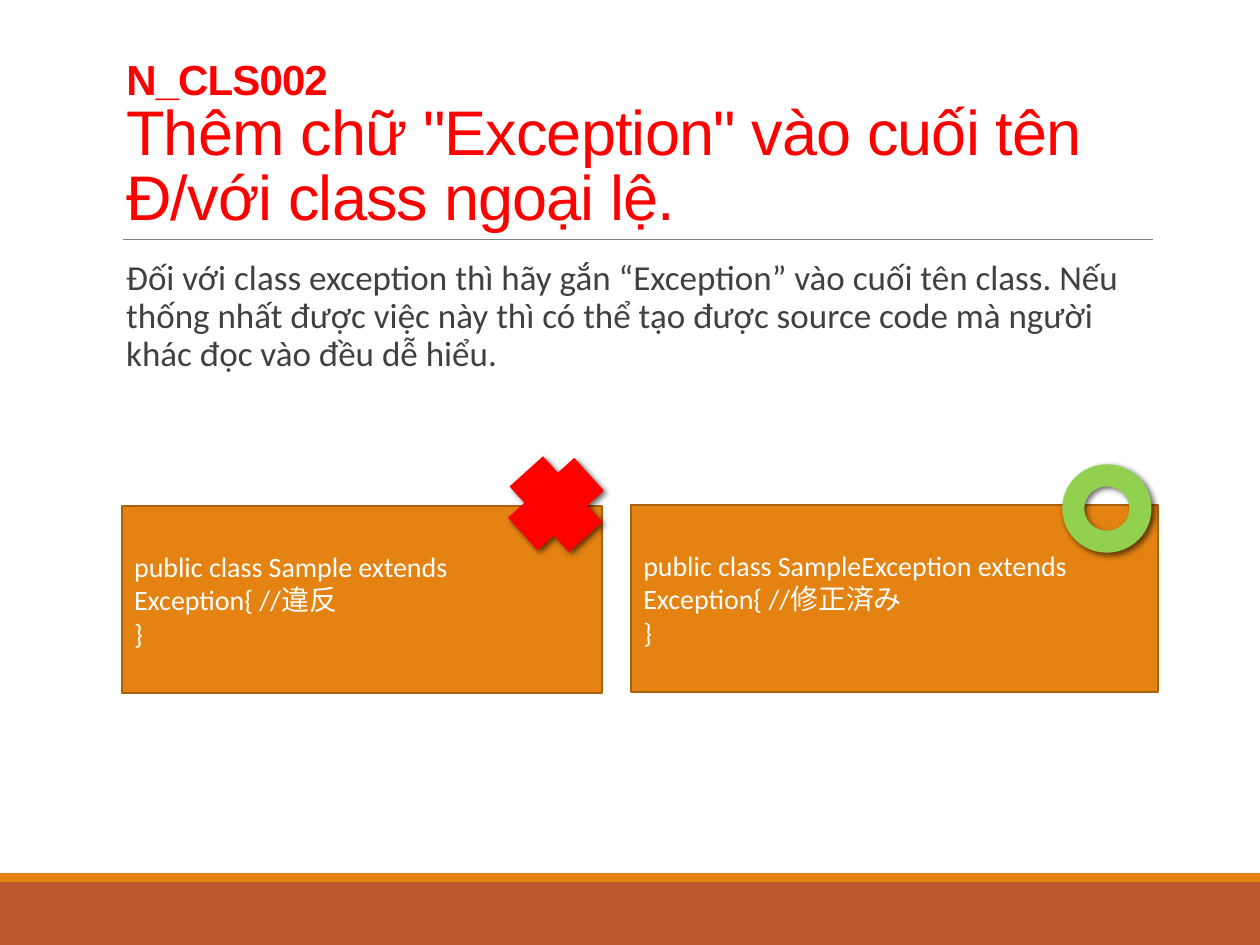
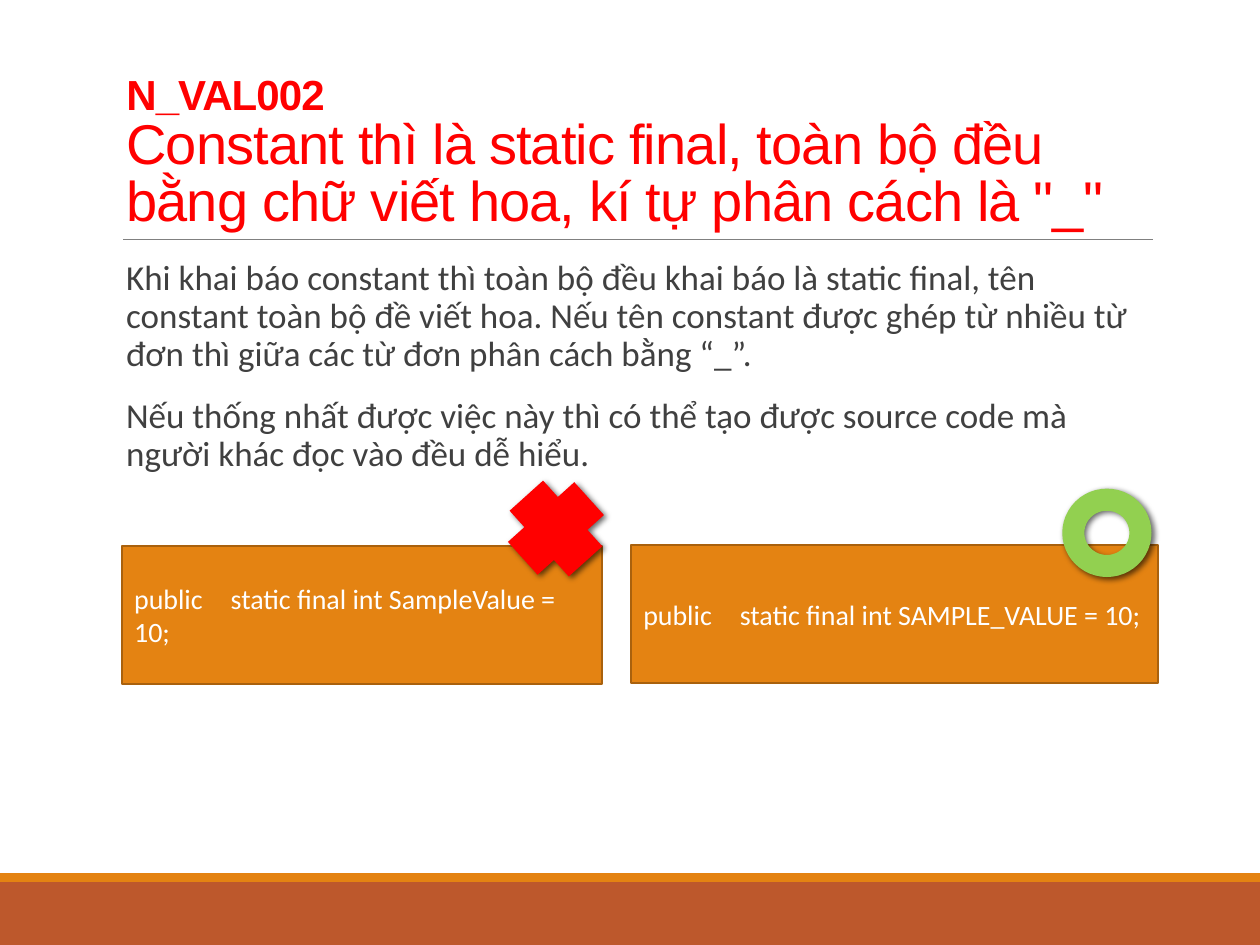
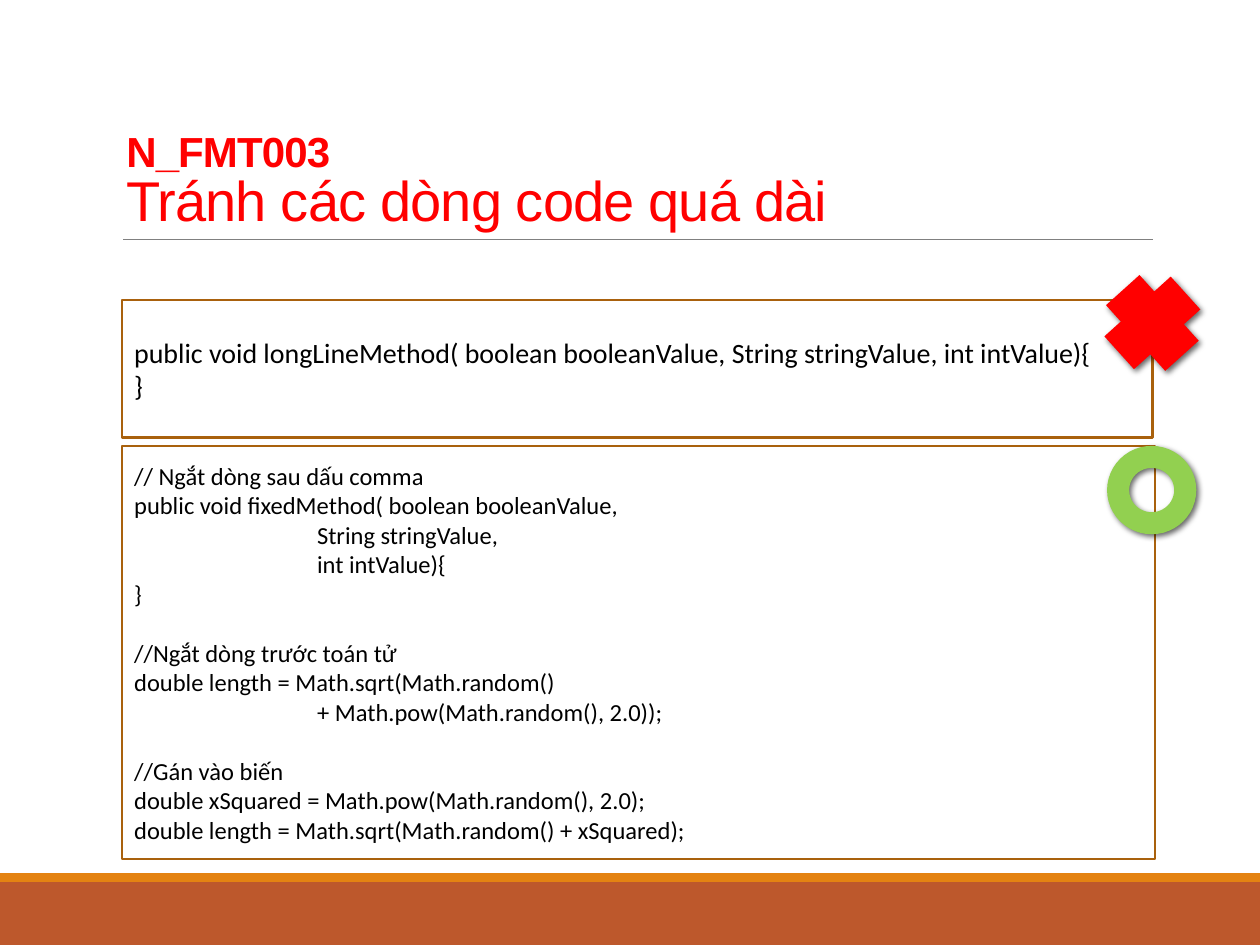
"""Builds three slides of Java coding rules with bad and good samples."""
from copy import deepcopy

from pptx import Presentation
from pptx.dml.color import RGBColor
from pptx.enum import shapes, text
from pptx.oxml import ns, xmlchemy
from pptx.util import Pt


def color(value):
    """Turn a hex string into a colour."""
    return RGBColor.from_string(value)


class Deck:
    """Holds the style and the current slide."""

    ORANGE, RUST, BROWN, GRAY = "E48312", "BD582C", "A9610D", "808080"
    RED, GREEN, BLACK, WHITE, BODY = "FF0000", "92D050", "000000", "FFFFFF", "404040"
    HEAD_FONT, TEXT_FONT = "Arial", "Calibri"
    WIDTH, HEIGHT = 720, 540
    LEFT, RIGHT_BOX = 69.6, 360.5
    MARK_WIDTH, MARK_HEIGHT = 51, 50.5
    CODE_INDENT, CODE_GAP = 104.5, 17

    def __init__(self):
        """Start an empty presentation."""
        self.presentation = Presentation()
        self.presentation.slide_width = Pt(self.WIDTH)
        self.presentation.slide_height = Pt(self.HEIGHT)
        self.slide = None

    def add_slide(self, code, heading, size):
        """Add a slide with bands, rule and title."""
        layout = self.presentation.slide_layouts.get_by_name("Title Only")
        self.slide = self.presentation.slides.add_slide(layout)
        self.shape(shapes.MSO_SHAPE.RECTANGLE, 0, 504, self.WIDTH, 36, self.RUST)
        self.shape(shapes.MSO_SHAPE.RECTANGLE, 0, 499, self.WIDTH, 5, self.ORANGE)
        self.rule(70.5, 659, 137)
        self.title(code, heading, size)

    def shape(self, kind, left, top, width, height, fill=None, line=None):
        """Add a preset shape without shadow."""
        shape = self.slide.shapes.add_shape(kind, Pt(left), Pt(top), Pt(width), Pt(height))
        shape.shadow.inherit = False
        if fill:
            shape.fill.solid()
            shape.fill.fore_color.rgb = color(fill)
        else:
            shape.fill.background()
        if line:
            shape.line.color.rgb = color(line)
            shape.line.width = Pt(1.25)
        else:
            shape.line.fill.background()
        return shape

    def rule(self, start, end, top):
        """Add the thin line under the title."""
        line = self.slide.shapes.add_connector(
            shapes.MSO_CONNECTOR.STRAIGHT, Pt(start), Pt(top), Pt(end), Pt(top))
        line.line.color.rgb = color(self.GRAY)
        line.line.width = Pt(0.5)
        line._element.spPr.append(xmlchemy.OxmlElement("a:effectLst"))

    def format_run(self, run, font, size, fill, bold=None):
        """Set font, size, colour and weight of a run."""
        run.font.name, run.font.size, run.font.bold = font, Pt(size), bold
        run.font.color.rgb = color(fill)

    def title(self, code, heading, size):
        """Place the title with its rule code on the first line."""
        title = self.slide.shapes.title
        title.left, title.top, title.width, title.height = Pt(65), Pt(22.3), Pt(594), Pt(114.5)
        frame = title.text_frame
        frame.text = f"{code}\v{heading}"
        frame.word_wrap = True
        frame.auto_size = text.MSO_AUTO_SIZE.NONE
        frame.vertical_anchor = text.MSO_ANCHOR.BOTTOM
        paragraph = frame.paragraphs[0]
        paragraph.alignment = text.PP_ALIGN.LEFT
        paragraph.line_spacing = 0.85
        for run, points, bold in zip(paragraph.runs, (24, size), (True, False)):
            self.format_run(run, self.HEAD_FONT, points, self.RED, bold)
            run.font._element.set("spc", "-50")
        line_break = paragraph._p.find(ns.qn("a:br"))
        line_break.append(deepcopy(paragraph.runs[0].font._element))

    def body(self, *lines):
        """Add the explanation below the title."""
        box = self.slide.shapes.add_textbox(Pt(65), Pt(145.2), Pt(594), Pt(317))
        frame = box.text_frame
        frame.word_wrap = True
        frame.margin_right = 0
        frame.text = "\n".join(lines)
        for paragraph in frame.paragraphs:
            paragraph.line_spacing = 0.9
            paragraph.space_before, paragraph.space_after = Pt(12), Pt(2)
            self.format_run(paragraph.runs[0], self.TEXT_FONT, 20, self.BODY)

    def code(self, left, top, width, height, *groups, size=16, fill=None):
        """Add a code box; a leading tab marks a continued line."""
        box = self.shape(shapes.MSO_SHAPE.RECTANGLE, left, top, width, height, fill, self.BROWN)
        frame = box.text_frame
        frame.word_wrap = True
        frame.vertical_anchor = text.MSO_ANCHOR.MIDDLE
        lines = [(line, number and not index)
                 for number, group in enumerate(groups) for index, line in enumerate(group)]
        frame.text = "\n".join(line.lstrip("\t") for line, _ in lines)
        for paragraph, (line, gap) in zip(frame.paragraphs, lines):
            paragraph.alignment = text.PP_ALIGN.LEFT
            if gap:
                paragraph.space_before = Pt(self.CODE_GAP)
            if line.startswith("\t"):
                paragraph._p.get_or_add_pPr().set("marL", str(Pt(self.CODE_INDENT)))
            self.format_run(paragraph.runs[0], self.TEXT_FONT, size,
                            self.WHITE if fill else self.BLACK)

    def mark(self, good, left, top):
        """Add a green ring or a red cross with a soft shadow."""
        kind = shapes.MSO_SHAPE.DONUT if good else shapes.MSO_SHAPE.CROSS
        mark = self.shape(kind, left, top, self.MARK_WIDTH, self.MARK_HEIGHT,
                          self.GREEN if good else self.RED)
        mark.rotation = 0 if good else 318
        effects = mark._element.spPr.find(ns.qn("a:effectLst"))
        shadow = xmlchemy.OxmlElement("a:outerShdw")
        for name, value in (("blurRad", Pt(3.5)), ("dist", Pt(2)), ("dir", 45 * 60000)):
            shadow.set(name, str(value))
        shade = xmlchemy.OxmlElement("a:srgbClr")
        shade.set("val", self.BLACK)
        alpha = xmlchemy.OxmlElement("a:alpha")
        alpha.set("val", "60000")
        shade.append(alpha)
        shadow.append(shade)
        effects.append(shadow)

    def comparison(self, top, height, bad, good, lift=0):
        """Add two samples side by side, with marks raised by lift to clear the code."""
        self.code(self.LEFT, top + 0.5, 274.5, height, bad, fill=self.ORANGE)
        self.code(self.RIGHT_BOX, top, 301, height, good, fill=self.ORANGE)
        self.mark(False, 292.2, top - 25.75 - lift)
        self.mark(True, 607, top - 23.25 - lift)


deck = Deck()

deck.add_slide("N_CLS002", 'Thêm chữ "Exception" vào cuối tên Đ/với class ngoại lệ.', 36)
deck.body("Đối với class exception thì hãy gắn “Exception” vào cuối tên class. Nếu thống nhất "
          "được việc này thì có thể tạo được source code mà người khác đọc vào đều dễ hiểu.")
deck.comparison(288.6, 107,
                ["public class Sample extends Exception{ //違反", "}"],
                ["public class SampleException extends Exception{ //修正済み", "}"])

deck.add_slide("N_VAL002", "Constant thì là static final, toàn bộ đều bằng chữ viết hoa, "
               'kí tự phân cách là "_"', 32)
deck.body("Khi khai báo constant thì toàn bộ đều khai báo là static final, tên constant toàn bộ "
          "đề viết hoa. Nếu tên constant được ghép từ nhiều từ đơn thì giữa các từ đơn "
          "phân cách bằng “_”.",
          "Nếu thống nhất được việc này thì có thể tạo được source code mà người khác đọc vào "
          "đều dễ hiểu.")
deck.comparison(311.5, 78.75,
                ["public\u3000static final int SampleValue = 10;"],
                ["public\u3000static final int SAMPLE_VALUE = 10;"],
                lift=9)

deck.add_slide("N_FMT003", "Tránh các dòng code quá dài", 32)
deck.code(deck.LEFT, 171.5, 589, 78.5,
          ["public void longLineMethod( boolean booleanValue, String stringValue, int intValue){",
           "}"])
deck.code(deck.LEFT, 254.8, 590.5, 236,
          ["// Ngắt dòng sau dấu comma",
           "public void fixedMethod( boolean booleanValue,",
           "\tString stringValue,",
           "\tint intValue){",
           "}"],
          ["//Ngắt dòng trước toán tử",
           "double length = Math.sqrt(Math.random()",
           "\t+ Math.pow(Math.random(), 2.0));"],
          ["//Gán vào biến",
           "double xSquared = Math.pow(Math.random(), 2.0);",
           "double length = Math.sqrt(Math.random() + xSquared);"],
          size=14)
deck.mark(False, 633, 159.3)
deck.mark(True, 632.6, 254.8)

deck.presentation.save("out.pptx")
